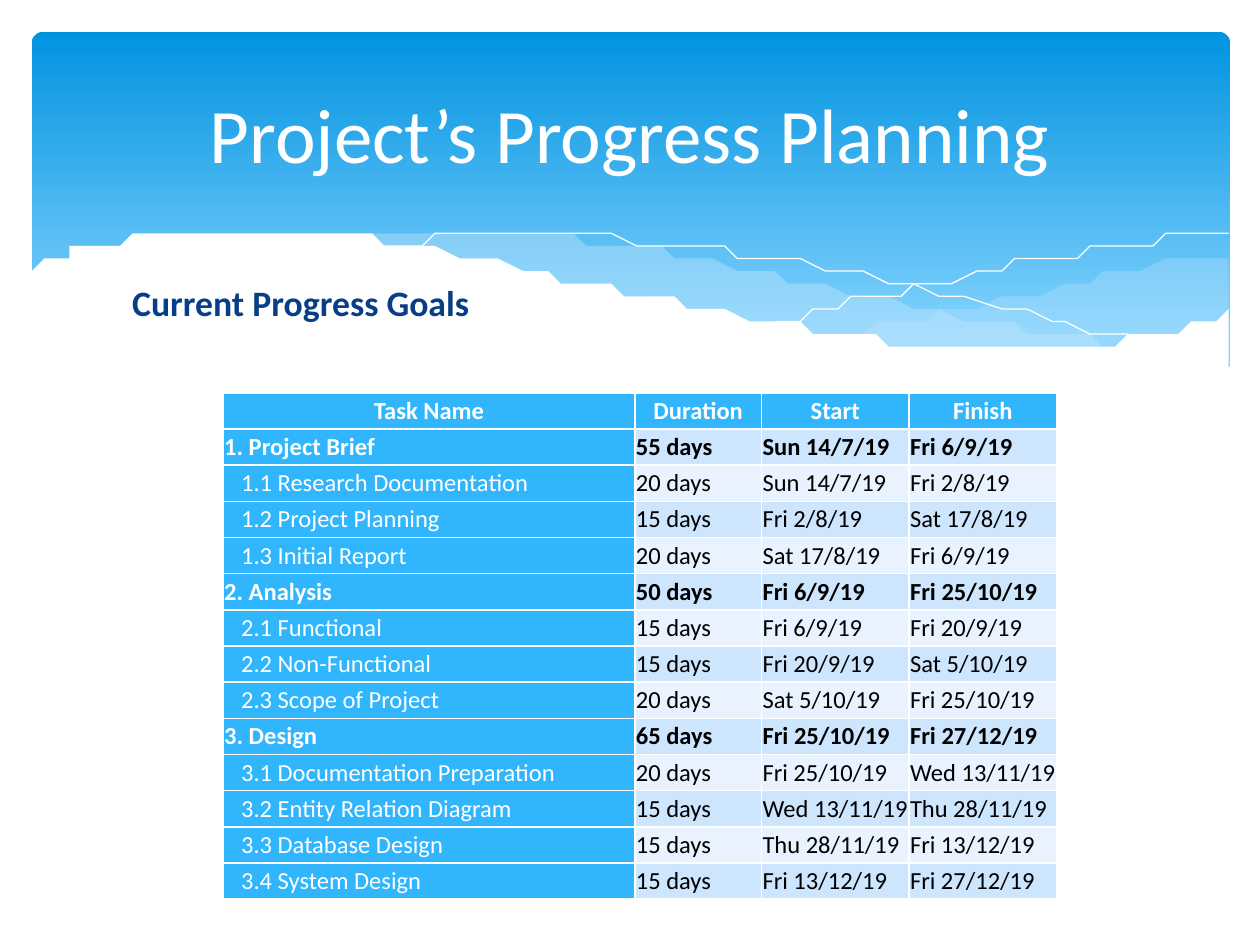
import lxml.etree
import pptx
import pptx.dml.color
import pptx.enum.shapes
import pptx.enum.text
import pptx.oxml.ns
import pptx.util

Cm = pptx.util.Cm
Pt = pptx.util.Pt
FONT = "Calibri"
WHITE = "FFFFFF"
WAVE_UNIT = Cm(0.254)

RIGHT_WAVE = [
    [(95, 17.5), (91, 18.2), (83.6, 19.8), (75.4, 21.7), (68.1, 23.2), (63.6, 24)],
    [(63.6, 24), (68, 24.6), (73.2, 25.1), (78.9, 25.3), (83.8, 25), (88.8, 24.2),
     (92.4, 23.2), (95.1, 22.2)],
]
MIDDLE_WAVE = [
    [(86.8, 24.8), (81.2, 24), (75, 22.9), (68.1, 21.5), (60.4, 19.7), (54.4, 18.3),
     (48.9, 17.3), (44, 16.6), (39.5, 16.2), (35.5, 16), (31.9, 16.1), (28.8, 16.3),
     (26.1, 16.6)],
    [(26.1, 16.6), (31.7, 17.4), (37.9, 18.6), (42.4, 19.7), (50.5, 21.5), (57.6, 23),
     (64, 24.1), (69.7, 24.9), (74.8, 25.2), (79.3, 25.3), (83.2, 25.2), (86.8, 24.8)],
]
FALLING_LINE = [
    [(28.4, 17), (31.9, 16.5), (36.2, 16.2), (40.8, 16.2), (46.4, 16.5), (53.1, 17.2),
     (61.1, 18.3), (70.2, 20.1), (80.6, 22.6), (88.2, 24.7)],
]
RISING_LINE = [
    [(58.8, 23.2), (62.8, 22.1), (67, 21), (72.3, 19.8), (78.1, 18.5), (84.1, 17.4),
     (88.5, 16.7), (92.6, 16.2), (95, 16)],
]
WHITE_WAVE = [
    [(95.2, 22.1), (91.5, 23.4), (87.4, 24.4), (82.5, 25), (78.4, 25.2), (73.6, 25),
     (68.3, 24.5), (62.3, 23.7), (55.4, 22.5), (47.8, 20.8), (42.2, 19.5), (34, 17.7),
     (26.7, 16.5), (20.5, 16), (15.2, 15.9), (10.7, 16.1), (7, 16.6), (4.2, 17.2),
     (2.1, 17.8), (-0.2, 18.8)],
    [(-0.2, 30.4), (95.2, 30.4)],
]

HEADINGS = ["Task Name", "Duration", "Start", "Finish"]
TASKS = [
    ("1. Project Brief", "55 days", "Sun 14/7/19", "Fri 6/9/19"),
    ("1.1 Research Documentation", "20 days", "Sun 14/7/19", "Fri 2/8/19"),
    ("1.2 Project Planning", "15 days", "Fri 2/8/19", "Sat 17/8/19"),
    ("1.3 Initial Report", "20 days", "Sat 17/8/19", "Fri 6/9/19"),
    ("2. Analysis", "50 days", "Fri 6/9/19", "Fri 25/10/19"),
    ("2.1 Functional", "15 days", "Fri 6/9/19", "Fri 20/9/19"),
    ("2.2 Non-Functional", "15 days", "Fri 20/9/19", "Sat 5/10/19"),
    ("2.3 Scope of Project", "20 days", "Sat 5/10/19", "Fri 25/10/19"),
    ("3. Design", "65 days", "Fri 25/10/19", "Fri 27/12/19"),
    ("3.1 Documentation Preparation", "20 days", "Fri 25/10/19", "Wed 13/11/19"),
    ("3.2 Entity Relation Diagram", "15 days", "Wed 13/11/19", "Thu 28/11/19"),
    ("3.3 Database Design", "15 days", "Thu 28/11/19", "Fri 13/12/19"),
    ("3.4 System Design", "15 days", "Fri 13/12/19", "Fri 27/12/19"),
]


def color(hex_string):
    return pptx.dml.color.RGBColor.from_string(hex_string)


def format_paragraph(paragraph, size, hex_string, bold=False, alignment=None):
    paragraph.font.name = FONT
    paragraph.font.size = Pt(size)
    paragraph.font.bold = bold
    paragraph.font.color.rgb = color(hex_string)
    paragraph.alignment = alignment


def smooth(knots, steps=5):
    padded = [knots[0], *knots, knots[-1]]
    points = [knots[0]]
    for a, b, c, d in zip(padded, padded[1:], padded[2:], padded[3:]):
        for step in range(1, steps + 1):
            t = step / steps
            points.append(tuple(
                q + t / 2 * (r - p + t * (2 * p - 5 * q + 4 * r - s + t * (3 * (q - r) + s - p)))
                for p, q, r, s in zip(a, b, c, d)))
    return points


def add_wave(slide, origin, curves, closed=True):
    points = [point for curve in curves for point in smooth(curve)]
    builder = slide.shapes.build_freeform(*points[0], scale=WAVE_UNIT)
    builder.add_line_segments(points[1:], close=closed)
    shape = builder.convert_to_shape(*origin)
    shape.shadow.inherit = False
    return shape


def add_filled_wave(slide, origin, curves, hex_string, opacity=100):
    shape = add_wave(slide, origin, curves)
    shape.fill.solid()
    shape.fill.fore_color.rgb = color(hex_string)
    shape.line.fill.background()
    if opacity < 100:
        fill_color = shape.element.spPr.find(".//" + pptx.oxml.ns.qn("a:srgbClr"))
        alpha = lxml.etree.SubElement(fill_color, pptx.oxml.ns.qn("a:alpha"))
        alpha.set("val", str(opacity * 1000))


def add_wave_line(slide, origin, curves):
    shape = add_wave(slide, origin, curves, closed=False)
    shape.fill.background()
    shape.line.color.rgb = color(WHITE)
    shape.line.width = Pt(0)


def add_banner(slide, left, top, width, height):
    panel = slide.shapes.add_shape(
        pptx.enum.shapes.MSO_SHAPE.ROUNDED_RECTANGLE, left, top, width, height)
    panel.adjustments[0] = 0.034
    panel.shadow.inherit = False
    panel.line.fill.background()
    panel.fill.gradient()
    panel.fill.gradient_angle = 270
    for stop, (position, hex_string) in zip(
            panel.fill.gradient_stops, [(0, "0293E0"), (0.9, "83D3FE")]):
        stop.position = position
        stop.color.rgb = color(hex_string)

    origin = (left, top)
    add_filled_wave(slide, origin, RIGHT_WAVE, "C6E7FC", 29)
    add_filled_wave(slide, origin, MIDDLE_WAVE, "C6E7FC", 40)
    add_wave_line(slide, origin, FALLING_LINE)
    add_wave_line(slide, origin, RISING_LINE)
    add_filled_wave(slide, origin, WHITE_WAVE, WHITE)


def place_placeholder(shape, text, left, top, width, height):
    shape.left, shape.top, shape.width, shape.height = left, top, width, height
    shape.element.getparent().append(shape.element)
    shape.text_frame.text = text
    shape.text_frame.auto_size = pptx.enum.text.MSO_AUTO_SIZE.NONE
    return shape.text_frame.paragraphs[0]


def place_title(slide, left, top, width, height):
    title = slide.shapes.title
    paragraph = place_placeholder(
        title, "Project’s Progress Planning", left, top, width, height)
    title.text_frame.vertical_anchor = pptx.enum.text.MSO_ANCHOR.MIDDLE
    format_paragraph(paragraph, 44, WHITE, alignment=pptx.enum.text.PP_ALIGN.CENTER)


def place_subtitle(slide, left, top, width, height):
    paragraph = place_placeholder(
        slide.placeholders[1], "Current Progress Goals", left, top, width, height)
    format_paragraph(paragraph, 20.4, "073E87", bold=True)
    properties = paragraph._p.get_or_add_pPr()
    properties.set("marL", "0")
    properties.set("indent", "0")
    bullet = lxml.etree.Element(pptx.oxml.ns.qn("a:buNone"))
    properties.find(pptx.oxml.ns.qn("a:defRPr")).addprevious(bullet)


def fill_cell(cell, text, fill, font_color, bold, alignment=None):
    cell.text = text
    cell.vertical_anchor = pptx.enum.text.MSO_ANCHOR.MIDDLE
    cell.margin_left = cell.margin_right = cell.margin_top = cell.margin_bottom = Cm(0.02)
    cell.fill.solid()
    cell.fill.fore_color.rgb = color(fill)
    paragraph = cell.text_frame.paragraphs[0]
    format_paragraph(paragraph, 14, font_color, bold, alignment)
    return paragraph


def add_schedule(slide, left, top, width, height):
    rows = len(TASKS) + 1
    table = slide.shapes.add_table(rows, len(HEADINGS), left, top, width, height).table
    table.first_col = True
    for column, share in zip(table.columns, [0.494, 0.152, 0.177, 0.177]):
        column.width = int(width * share)
    for row in table.rows:
        row.height = int(height / rows)

    for cell, heading in zip(table.rows[0].cells, HEADINGS):
        fill_cell(cell, heading, "31B6FD", WHITE, True, pptx.enum.text.PP_ALIGN.CENTER)
    for index, (task, *details) in enumerate(TASKS, start=1):
        name_cell, *detail_cells = table.rows[index].cells
        is_phase = task[1:3] == ". "
        paragraph = fill_cell(name_cell, task, "31B6FD", WHITE, is_phase)
        if not is_phase:
            paragraph._p.get_or_add_pPr().set("marL", str(Cm(0.34)))
        band = "CEE5FE" if index % 2 else "E8F3FF"
        for cell, detail in zip(detail_cells, details):
            fill_cell(cell, detail, band, "000000", is_phase)


def main():
    presentation = pptx.Presentation()
    presentation.slide_width = Cm(25.4)
    presentation.slide_height = Cm(19.05)
    slide = presentation.slides.add_slide(presentation.slide_layouts[1])
    add_banner(slide, Cm(0.64), Cm(0.64), Cm(24.16), Cm(6.86))
    place_title(slide, Cm(1.27), Cm(0.94), Cm(22.86), Cm(3.48))
    add_schedule(slide, Cm(4.5), Cm(7.92), Cm(16.8), Cm(10.21))
    place_subtitle(slide, Cm(2.41), Cm(5.54), Cm(20.57), Cm(0.99))
    presentation.save("out.pptx")


if __name__ == "__main__":
    main()
